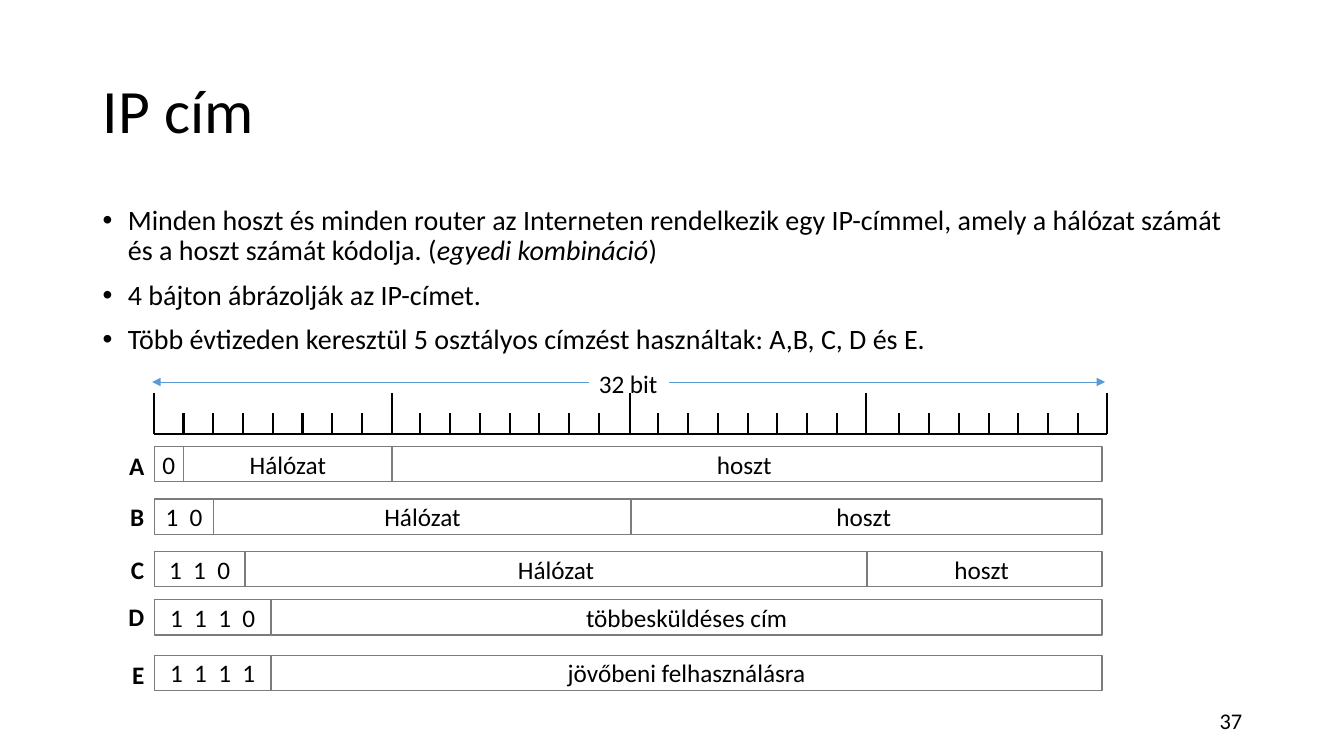
from dataclasses import dataclass

from lxml import etree
from pptx import Presentation
from pptx import util as u
from pptx.dml.color import RGBColor
from pptx.enum import shapes, text
from pptx.oxml import ns


@dataclass(frozen=True)
class Theme:
    font: str = "Calibri"
    ink: RGBColor = RGBColor(0x00, 0x00, 0x00)
    border: RGBColor = RGBColor(0x7C, 0x7C, 0x7C)
    arrow: RGBColor = RGBColor(0x5B, 0x9B, 0xD5)
    title_size: int = 44
    body_size: int = 20
    label_size: int = 18
    number_size: int = 16


THEME = Theme()
LEFT, RIGHT = 1.53, 10.93
RULER_BOTTOM, RULER_RIGHT = 4.31, 10.98
BIT_WIDTH = 0.295

# Each byte of the ruler: its long tick and the first short tick after it
BYTES = [(1.53, 1.82), (3.89, 4.17), (6.25, 6.53), (8.59, 8.92)]

# Each address class: letter, label top, row top, fields as (text, right edge)
CLASSES = [
    ("A", 4.42, 4.43, [("0", 1.82), ("Hálózat", 3.89), ("hoszt ", RIGHT)]),
    ("B", 4.92, 4.95, [("1  0", 2.12), ("Hálózat", 6.26), ("hoszt ", RIGHT)]),
    ("C", 5.45, 5.47, [("1  1  0", 2.43), ("Hálózat", 8.6), ("hoszt ", RIGHT)]),
    ("D", 5.92, 5.95, [("1  1  1  0", 2.69), ("többesküldéses cím", RIGHT)]),
    ("E", 6.49, 6.5, [("1  1  1  1", 2.69), ("jövőbeni felhasználásra", RIGHT)]),
]

# Bullets as lists of (text, italic) runs
BULLETS = [
    [("Minden hoszt és minden router az Interneten rendelkezik egy IP-címmel, "
      "amely a hálózat számát és a hoszt számát kódolja. (", False),
     ("egyedi kombináció", True), (")", False)],
    [("4 bájton ábrázolják az IP-címet.", False)],
    [("Több évtizeden keresztül 5 osztályos címzést használtak: "
      "A,B, C, D és E.", False)],
]


def place(shape, left, top, width, height):
    shape.left, shape.top = u.Inches(left), u.Inches(top)
    shape.width, shape.height = u.Inches(width), u.Inches(height)


def style_run(run, size, bold=False, italic=False):
    run.font.name = THEME.font
    run.font.size = u.Pt(size)
    run.font.color.rgb = THEME.ink
    run.font.bold = bold
    run.font.italic = italic


def write(shape, words, size, align, anchor, bold=False, wrap=True):
    frame = shape.text_frame
    frame.text = words
    frame.word_wrap = wrap
    frame.vertical_anchor = anchor
    paragraph = frame.paragraphs[0]
    paragraph.alignment = align
    style_run(paragraph.runs[0], size, bold)


def add_label(slide, words, box, size, align, anchor=text.MSO_ANCHOR.TOP,
              bold=False, wrap=True):
    label = slide.shapes.add_textbox(*map(u.Inches, box))
    write(label, words, size, align, anchor, bold, wrap)


def add_title(slide, words):
    title = slide.shapes.title
    place(title, 0.92, 0.4, 11.5, 1.45)
    write(title, words, THEME.title_size, text.PP_ALIGN.LEFT, text.MSO_ANCHOR.MIDDLE)
    title.text_frame.paragraphs[0].line_spacing = 0.9


def add_bullets(slide, bullets, box):
    frame = slide.shapes.add_textbox(*map(u.Inches, box)).text_frame
    frame.word_wrap = True
    for index, runs in enumerate(bullets):
        paragraph = frame.add_paragraph() if index else frame.paragraphs[0]
        paragraph.line_spacing = 0.9
        paragraph.space_before = u.Pt(10)
        for words, italic in runs:
            run = paragraph.add_run()
            run.text = words
            style_run(run, THEME.body_size, italic=italic)
        properties = paragraph._p.get_or_add_pPr()
        properties.set("marL", str(u.Inches(0.25)))
        properties.set("indent", str(u.Inches(-0.25)))
        etree.SubElement(properties, ns.qn("a:buFont")).set("typeface", "Arial")
        etree.SubElement(properties, ns.qn("a:buChar")).set("char", "•")


def add_line(slide, start, end, color, width, arrow=False):
    line = slide.shapes.add_connector(
        shapes.MSO_CONNECTOR.STRAIGHT, *map(u.Inches, start + end))
    line.line.color.rgb = color
    line.line.width = u.Pt(width)
    if arrow:
        outline = line.line._get_or_add_ln()
        etree.SubElement(outline, ns.qn("a:tailEnd")).set("type", "triangle")
    etree.SubElement(line._element.spPr, ns.qn("a:effectLst"))


def add_tick(slide, x, top):
    add_line(slide, (x, top), (x, RULER_BOTTOM), THEME.ink, 1.5)


def add_ruler(slide):
    add_line(slide, (LEFT, RULER_BOTTOM), (RULER_RIGHT, RULER_BOTTOM), THEME.ink, 1.5)
    for byte_start, first_bit in BYTES:
        add_tick(slide, byte_start, 3.9)
        for bit in range(7):
            add_tick(slide, first_bit + bit * BIT_WIDTH, 4.1)
    add_tick(slide, RULER_RIGHT, 3.9)


def add_span(slide, words):
    add_label(slide, words, (5.84, 3.6, 0.79, 0.4), THEME.label_size,
              text.PP_ALIGN.LEFT, wrap=False)
    for start, end in ((6.64, 10.96), (5.84, 1.51)):
        add_line(slide, (start, 3.79), (end, 3.79), THEME.arrow, 0.5, arrow=True)


def add_field(slide, words, left, top, right):
    field = slide.shapes.add_shape(
        shapes.MSO_SHAPE.RECTANGLE,
        *map(u.Inches, (left, top, right - left, 0.35)))
    field.shadow.inherit = False
    field.fill.background()
    field.line.color.rgb = THEME.border
    field.line.width = u.Pt(1)
    write(field, words, THEME.label_size, text.PP_ALIGN.CENTER,
          text.MSO_ANCHOR.MIDDLE, wrap=False)


def add_address_class(slide, letter, label_top, top, fields):
    left = LEFT
    for words, right in fields:
        add_field(slide, words, left, top, right)
        left = right
    add_label(slide, letter, (0, label_top, LEFT, 0.4), THEME.label_size,
              text.PP_ALIGN.RIGHT, bold=True)


def main():
    presentation = Presentation()
    presentation.slide_width = u.Inches(13.33)
    presentation.slide_height = u.Inches(7.5)
    slide = presentation.slides.add_slide(presentation.slide_layouts[5])

    # Heading and explanation
    add_title(slide, "IP cím")
    add_bullets(slide, BULLETS, (0.92, 2, 11.5, 1.83))

    # 32-bit ruler
    add_ruler(slide)
    add_span(slide, "32 bit")

    # Address classes
    for address_class in CLASSES:
        add_address_class(slide, *address_class)

    # Slide number
    add_label(slide, "37", (9.42, 6.95, 3, 0.4), THEME.number_size,
              text.PP_ALIGN.RIGHT, text.MSO_ANCHOR.MIDDLE)

    presentation.save("out.pptx")


if __name__ == "__main__":
    main()
